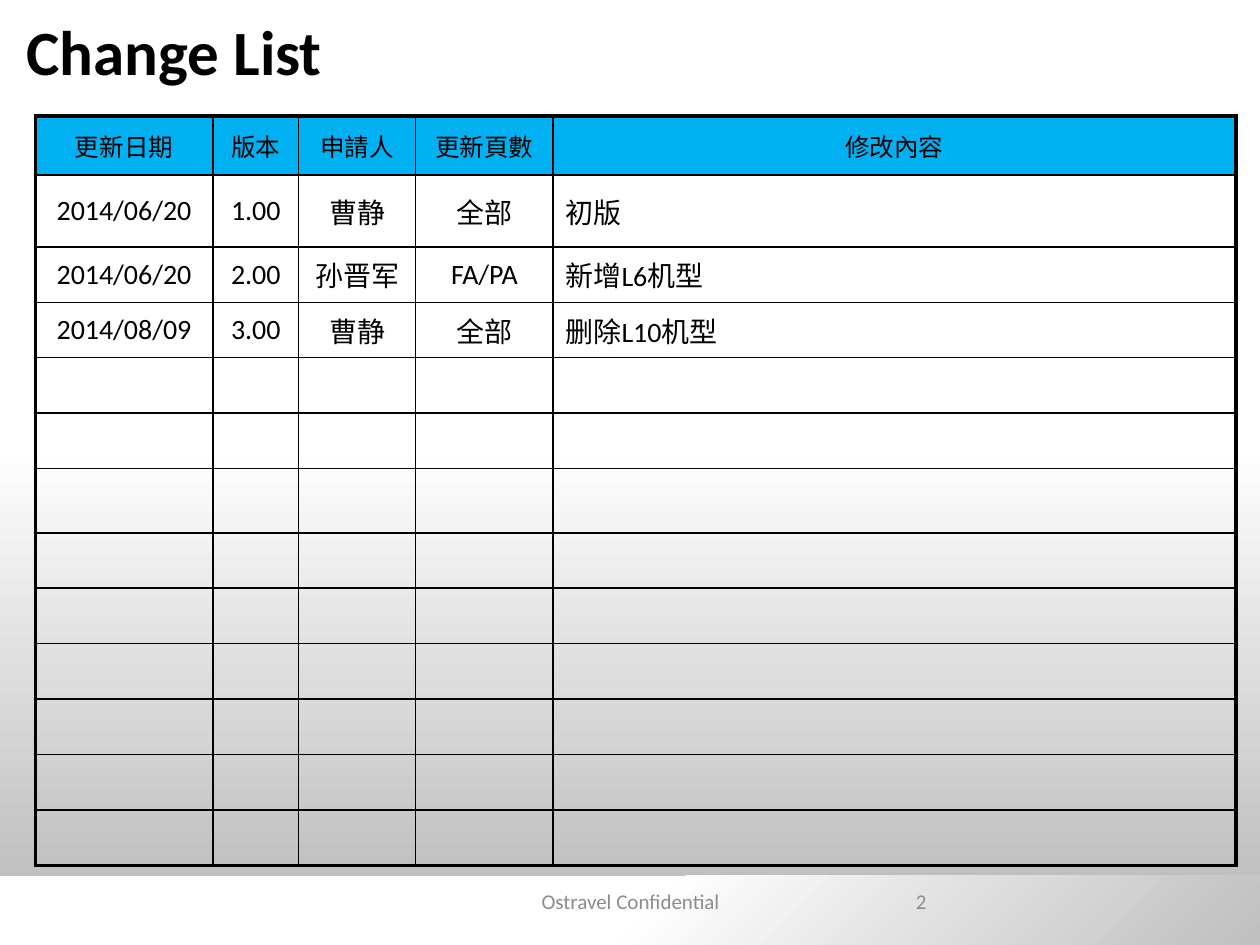
from lxml.etree import SubElement
from pptx import Presentation
from pptx.dml.color import RGBColor
from pptx.enum.shapes import MSO_SHAPE as Shape
from pptx.enum.text import MSO_ANCHOR as Anchor, MSO_AUTO_SIZE as AutoSize, PP_ALIGN as Align
from pptx.oxml.ns import qn
from pptx.util import Inches, Pt

BLACK = RGBColor(0x00, 0x00, 0x00)
WHITE = RGBColor(0xFF, 0xFF, 0xFF)
SILVER = RGBColor(0xBF, 0xBF, 0xBF)
FOOTER_GRAY = RGBColor(0x8C, 0x8C, 0x8C)
HEADER_BLUE = RGBColor(0x00, 0xB0, 0xF0)

FONT = "Calibri"
GRID_COLUMNS, GRID_ROWS = 100, 75
THIN, THICK = 1, 2.25

HEADINGS = ["更新日期", "版本", "申請人", "更新頁數", "修改內容"]
CHANGES = [
    ["2014/06/20", "1.00", "曹静", "全部", "初版"],
    ["2014/06/20", "2.00", "孙晋军", "FA/PA", "新增L6机型"],
    ["2014/08/09", "3.00", "曹静", "全部", "删除L10机型"],
]
COLUMN_WIDTHS = [14.1, 6.8, 9.3, 10.9, 54.2]
ROW_HEIGHTS = [4.7, 5.7] + [4.4] * 4 + [5.1] + [4.4] * 6


def write(frame, text, size=16, color=BLACK, bold=False, align=Align.LEFT):
    """Put one formatted line into a text frame."""
    paragraph = frame.paragraphs[0]
    paragraph.alignment = align
    run = paragraph.add_run()
    run.text = text
    run.font.name = FONT
    run.font.size = Pt(size)
    run.font.bold = bold
    run.font.color.rgb = color


def draw_border(cell, side, width):
    line = SubElement(cell._tc.get_or_add_tcPr(), qn(f"a:ln{side}"), w=str(Pt(width)))
    fill = SubElement(line, qn("a:solidFill"))
    SubElement(fill, qn("a:srgbClr"), val=str(BLACK))


class SlideBuilder:
    def __init__(self, deck):
        self.cell_width = deck.slide_width / GRID_COLUMNS
        self.cell_height = deck.slide_height / GRID_ROWS
        self.slide = deck.slides.add_slide(deck.slide_layouts[5])

    def across(self, columns):
        return round(columns * self.cell_width)

    def down(self, rows):
        return round(rows * self.cell_height)

    def place(self, left, top, width, height):
        return self.across(left), self.down(top), self.across(width), self.down(height)

    def title(self, text, *area):
        heading = self.slide.shapes.title
        heading.left, heading.top, heading.width, heading.height = self.place(*area)
        frame = heading.text_frame
        frame.auto_size = AutoSize.NONE
        frame.vertical_anchor = Anchor.TOP
        write(frame, text, size=36, bold=True)

    def backdrop(self, *area, from_corner=False):
        band = self.slide.shapes.add_shape(Shape.RECTANGLE, *self.place(*area))
        band.shadow.inherit = False
        band.line.fill.background()
        band.fill.gradient()
        band.fill.gradient_angle = 90
        for stop, position, color in zip(band.fill.gradient_stops, (0, 0.5), (SILVER, WHITE)):
            stop.position = position
            stop.color.rgb = color
        if from_corner:
            gradient = band.element.spPr.find(qn("a:gradFill"))
            gradient.remove(gradient.find(qn("a:lin")))
            circle = SubElement(gradient, qn("a:path"), path="circle")
            SubElement(circle, qn("a:fillToRect"), l="100000", t="100000")
        # Keep the backdrop behind the title
        self.slide.shapes.title.element.addprevious(band.element)

    def footer(self, text, *area, align=Align.LEFT):
        frame = self.slide.shapes.add_textbox(*self.place(*area)).text_frame
        frame.word_wrap = True
        frame.vertical_anchor = Anchor.MIDDLE
        write(frame, text, size=12, color=FOOTER_GRAY, align=align)

    def table(self, headings, records, left, top, widths, heights):
        area = self.place(left, top, sum(widths), sum(heights))
        grid = self.slide.shapes.add_table(len(heights), len(widths), *area).table
        grid.first_row = grid.horz_banding = False
        for column, width in zip(grid.columns, widths):
            column.width = self.across(width)
        for row, height in zip(grid.rows, heights):
            row.height = self.down(height)

        last_row, last_column = len(heights) - 1, len(widths) - 1
        lines = [headings] + records
        for r, row in enumerate(grid.rows):
            for c, cell in enumerate(row.cells):
                cell.vertical_anchor = Anchor.MIDDLE
                # Heavy frame outside, thin rules inside
                outer = {"L": c == 0, "R": c == last_column, "T": r == 0, "B": r == last_row}
                for side, is_outer in outer.items():
                    draw_border(cell, side, THICK if is_outer else THIN)
                if r == 0:
                    cell.fill.solid()
                    cell.fill.fore_color.rgb = HEADER_BLUE
                else:
                    cell.fill.background()
                if r < len(lines):
                    centred = r == 0 or c < last_column
                    write(cell.text_frame, lines[r][c], size=14 if r == 0 else 16,
                          align=Align.CENTER if centred else Align.LEFT)


def main():
    deck = Presentation()
    deck.slide_width, deck.slide_height = Inches(10), Inches(7.5)
    page = SlideBuilder(deck)

    # Background bands
    page.backdrop(0, 0, 100, 70.3)
    page.backdrop(0, 69.5, 100, 5.5, from_corner=True)

    # Title and change history
    page.title("Change List", 1.1, 0.5, 93.8, 6.2)
    page.table(HEADINGS, CHANGES, 2.8, 9.2, COLUMN_WIDTHS, ROW_HEIGHTS)

    # Footer
    page.footer("Ostravel Confidential", 34.2, 69.5, 31.7, 4, align=Align.CENTER)
    page.footer("2", 71.7, 69.5, 23.3, 4)

    deck.save("out.pptx")


if __name__ == "__main__":
    main()
